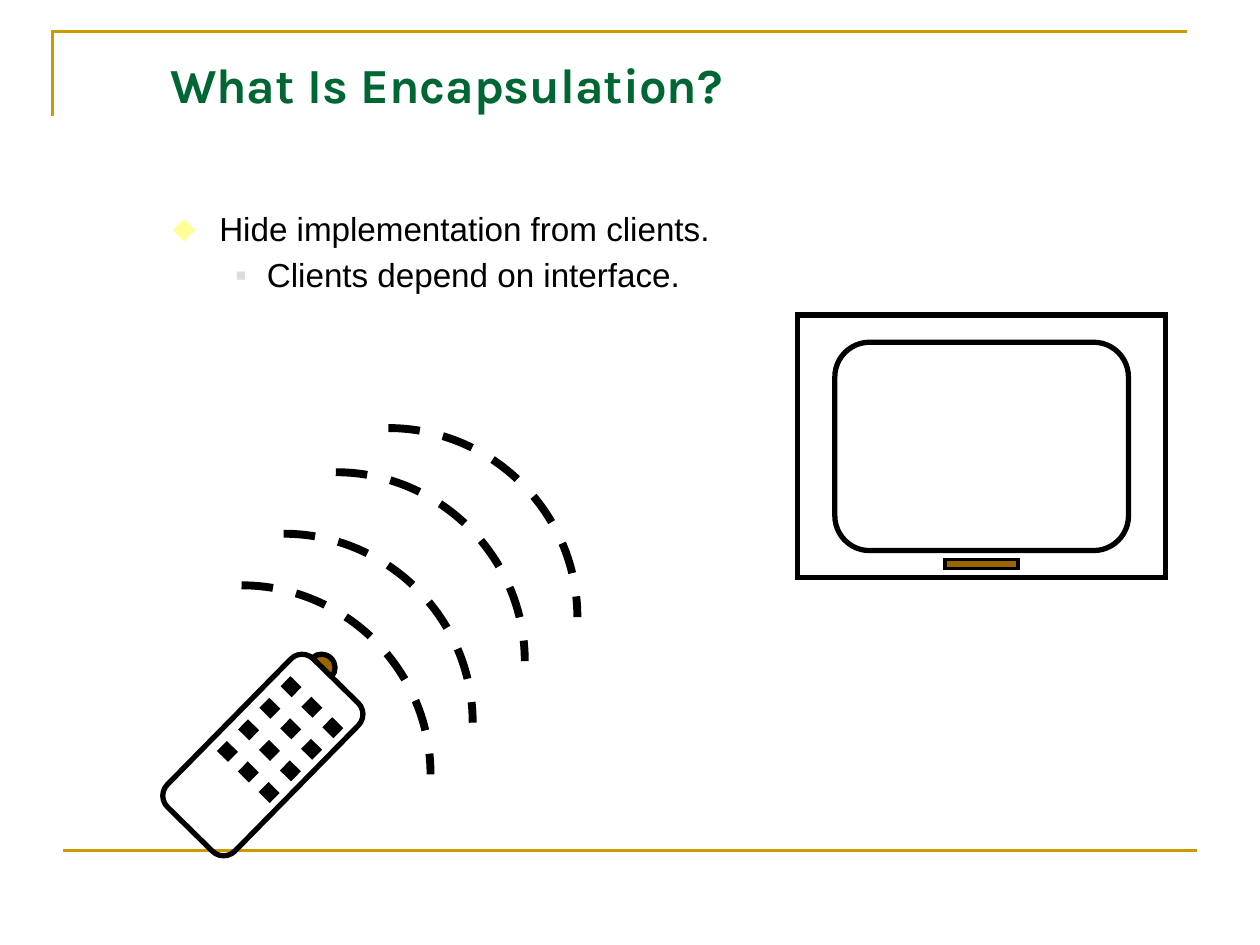
import math

import pptx
import pptx.dml.color
import pptx.enum.dml
import pptx.enum.shapes
import pptx.enum.text
import pptx.oxml.ns
import pptx.util
from lxml import etree

Cm = pptx.util.Cm
Pt = pptx.util.Pt
qn = pptx.oxml.ns.qn
SHAPE = pptx.enum.shapes.MSO_SHAPE
GOLD, GREEN, BROWN, BLACK = "CC9900", "006633", "996600", "000000"
TILT = 314.5
KAPPA = 0.55  # control distance of a quarter circle drawn as one Bézier curve


def colour(value):
    return pptx.dml.color.RGBColor.from_string(value)


def format_shape(shape, line_width, line=BLACK, fill=None, dash=None, miter=False):
    shape.shadow.inherit = False
    if fill:
        shape.fill.solid()
        shape.fill.fore_color.rgb = colour(fill)
    else:
        shape.fill.background()
    shape.line.color.rgb = colour(line)
    shape.line.width = Pt(line_width)
    if dash:
        shape.line.dash_style = dash
    if miter:
        etree.SubElement(shape._element.spPr.find(qn("a:ln")), qn("a:miter"), lim="800000")
    return shape


def add_box(shapes, kind, left, top, width, height, line_width, fill=None):
    shape = shapes.add_shape(kind, Cm(left), Cm(top), Cm(width), Cm(height))
    return format_shape(shape, line_width, fill=fill, miter=kind == SHAPE.RECTANGLE)


def add_open_path(shapes, points, line_width, **options):
    points = [(Cm(x), Cm(y)) for x, y in points]
    builder = shapes.build_freeform(*points[0])
    builder.add_line_segments(points[1:], close=False)
    return format_shape(builder.convert_to_shape(), line_width, **options)


def add_curve(shapes, points, line_width, **options):
    """Open path whose points after the first are taken in threes as Bézier curves."""
    shape = add_open_path(shapes, points, line_width, **options)
    segments = list(shape._element.iter(qn("a:lnTo")))
    for first in range(0, len(segments), 3):
        curve = etree.Element(qn("a:cubicBezTo"))
        segments[first].addprevious(curve)
        for segment in segments[first:first + 3]:
            curve.append(segment[0])
            segment.getparent().remove(segment)
    return shape


def quarter_arc(left, top, width, height):
    """Points of a curve from the top left corner to the bottom right one."""
    return [(left, top), (left + KAPPA * width, top),
            (left + width, top + (1 - KAPPA) * height), (left + width, top + height)]


def set_bullet(paragraph, character, bullet_colour, margin, hanging):
    properties = paragraph._p.get_or_add_pPr()
    properties.set("marL", str(Cm(margin)))
    properties.set("indent", str(-Cm(hanging)))
    holder = etree.SubElement(properties, qn("a:buClr"))
    etree.SubElement(holder, qn("a:srgbClr"), val=bullet_colour)
    etree.SubElement(properties, qn("a:buFont"), typeface="Arial")
    etree.SubElement(properties, qn("a:buChar"), char=character)


def write_text(paragraph, text, font="Arial", size=19, color=BLACK, bold=False,
               level=0, line_spacing=1.0, space_before=0, bullet=None):
    if bullet:
        set_bullet(paragraph, *bullet)
    paragraph.level = level
    paragraph.alignment = pptx.enum.text.PP_ALIGN.LEFT
    paragraph.line_spacing = line_spacing
    paragraph.space_before = Pt(space_before)
    run = paragraph.add_run()
    run.text = text
    run.font.name = font
    run.font.size = Pt(size)
    run.font.bold = bold
    run.font.color.rgb = colour(color)


def place_text_frame(shape, left, top, width, height, margin_x, margin_y, anchor):
    shape.left, shape.top = Cm(left), Cm(top)
    shape.width, shape.height = Cm(width), Cm(height)
    frame = shape.text_frame
    frame.word_wrap = True
    frame.auto_size = pptx.enum.text.MSO_AUTO_SIZE.NONE
    frame.margin_left = frame.margin_right = Cm(margin_x)
    frame.margin_top = frame.margin_bottom = Cm(margin_y)
    frame.vertical_anchor = anchor
    return frame


def add_page_frame(shapes, left, top, width):
    add_open_path(shapes, [(left, top + 1.69), (left, top), (left + width, top)],
                  1.5, line=GOLD, miter=True)
    rule_left, rule_top = left + 0.21, top + 16.51
    rule = shapes.add_connector(pptx.enum.shapes.MSO_CONNECTOR.STRAIGHT,
                                Cm(rule_left), Cm(rule_top),
                                Cm(rule_left + width), Cm(rule_top))
    rule.line.color.rgb = colour(GOLD)
    rule.line.width = Pt(1.5)
    etree.SubElement(rule._element.spPr, qn("a:effectLst"))


def fill_title(title, *box):
    frame = place_text_frame(title, *box, 0.25, 0.13, pptx.enum.text.MSO_ANCHOR.MIDDLE)
    write_text(frame.paragraphs[0], "What Is Encapsulation?",
               font="Karla", size=28, color=GREEN, bold=True)


def fill_body(body, *box):
    frame = place_text_frame(body, *box, 0.3, 0.15, pptx.enum.text.MSO_ANCHOR.TOP)
    write_text(frame.paragraphs[0], "Hide implementation from clients.",
               line_spacing=0.8, bullet=("⬥", "FFFF99", 0.94, 0.94))
    write_text(frame.add_paragraph(), "Clients depend on interface.", level=1,
               line_spacing=0.87, space_before=7.1, bullet=("▪", "DDDDDD", 1.9, 0.64))


def add_signal_waves(shapes, starts, radius):
    for left, top in starts:
        add_curve(shapes, quarter_arc(left, top, radius, radius), 4.5,
                  dash=pptx.enum.dml.MSO_LINE.DASH)


def add_television(shapes, left, top, width, height):
    parts = shapes.add_group_shape().shapes
    add_box(parts, SHAPE.RECTANGLE, left, top, width, height, 3)
    add_box(parts, SHAPE.ROUNDED_RECTANGLE, left + 0.75, top + 0.55,
            width - 1.5, height - 1.09, 3)
    add_box(parts, SHAPE.RECTANGLE, left + 2.97, top + 4.93, 1.47, 0.18, 2, fill=BROWN)


def add_remote(shapes, center_x, center_y, length, breadth):
    """Remote control whose parts are laid out along its tilted axis."""
    parts = shapes.add_group_shape().shapes
    cosine, sine = math.cos(math.radians(TILT)), math.sin(math.radians(TILT))

    def tilted(along, across):
        return (center_x + along * cosine - across * sine,
                center_y + along * sine + across * cosine)

    def add_part(kind, along, across, width, height, line_width, fill=None):
        x, y = tilted(along, across)
        add_box(parts, kind, x - width / 2, y - height / 2, width, height,
                line_width, fill).rotation = TILT

    x, y = tilted(length / 2 + 0.13, -0.39)
    upper = quarter_arc(x - 0.13, y - 0.27, 0.26, 0.27)
    lower = [(px, 2 * y - py) for px, py in reversed(upper[:-1])]
    add_curve(parts, upper + lower, 3, fill=BROWN).rotation = TILT
    add_part(SHAPE.ROUNDED_RECTANGLE, 0, 0, length, breadth, 3)
    for column in range(4):
        for row in range(3):
            add_part(SHAPE.RECTANGLE, 1.38 - 0.61 * column, -0.56 + 0.59 * row,
                     0.25, 0.28, 1, fill=BLACK)


def main():
    presentation = pptx.Presentation()
    presentation.slide_width, presentation.slide_height = Cm(25.4), Cm(19.05)
    slide = presentation.slides.add_slide(presentation.slide_layouts[1])
    shapes = slide.shapes
    add_page_frame(shapes, 1.06, 0.64, 22.86)
    fill_title(shapes.title, 3.18, 0.95, 22.05, 1.47)
    fill_body(slide.placeholders[1], 3.18, 4.2, 21.84, 14.02)
    add_signal_waves(shapes, [(4.87, 11.8), (5.72, 10.76), (6.77, 9.52), (7.83, 8.63)],
                     3.81)
    add_television(shapes, 16.08, 6.35, 7.42, 5.29)
    add_remote(shapes, 5.3, 15.22, 4.19, 1.91)
    presentation.save("out.pptx")


if __name__ == "__main__":
    main()
